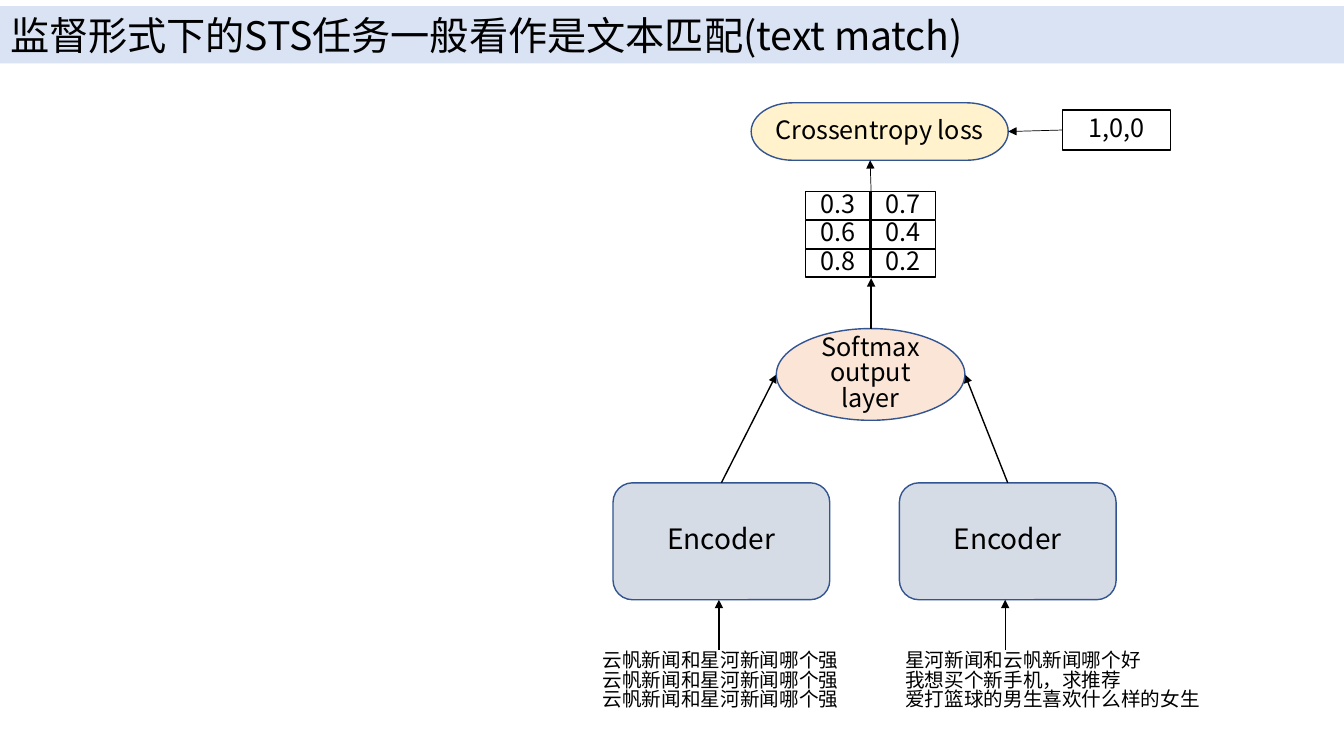
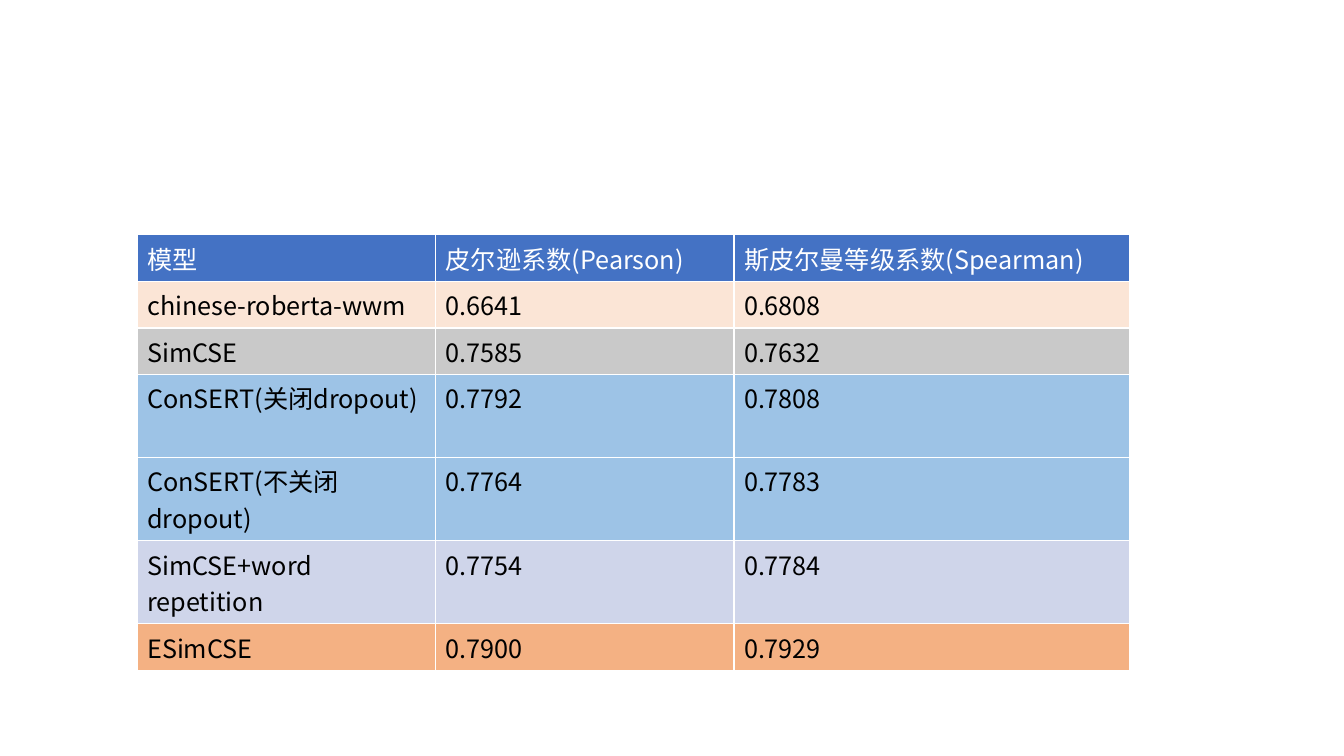
from lxml.etree import SubElement
from pptx import Presentation
from pptx.dml.color import RGBColor
from pptx.enum.shapes import MSO_CONNECTOR, MSO_SHAPE
from pptx.enum.text import MSO_ANCHOR, MSO_AUTO_SIZE, PP_ALIGN
from pptx.oxml.ns import qn
from pptx.util import Inches, Pt

FONT = "Noto Sans CJK SC"
COLORS = {
    "black": "000000", "white": "FFFFFF", "band": "DAE3F3", "outline": "325491",
    "encoder": "D6DCE5", "softmax": "FBE5D6", "loss": "FFF2CC",
    "header": "4472C4", "peach": "FBE5D6", "grey": "C9C9C9",
    "blue": "9DC3E6", "lavender": "CFD5EA", "orange": "F4B183",
}
SLIDE_W, SLIDE_H = 13.33, 7.5
DIAGRAM_SPACING = 0.83

# Diagram grid, in inches
ENCODER_X, ENCODER_Y, ENCODER_W, ENCODER_H = 6.08, 4.79, 2.15, 1.16
ENCODER_PITCH = 2.84
INPUT_ARROW_X, INPUT_Y = 7.13, 6.45
AXIS_X = 8.64
SOFTMAX_X, SOFTMAX_Y, SOFTMAX_W, SOFTMAX_H = 7.7, 3.26, 1.87, 0.91
PROB_X, PROB_Y, PROB_W, PROB_H = 7.99, 1.9, 0.64, 0.28
PROB_PITCH_X, PROB_PITCH_Y = 0.65, 0.285
LOSS_BOX = (7.45, 1.02, 2.55, 0.57)
LABEL_BOX = (10.54, 1.09, 1.07, 0.4)
INPUT_TAB = 3

PROBABILITIES = [("0.3", "0.7"), ("0.6", "0.4"), ("0.8", "0.2")]
SENTENCE_PAIRS = [
    ("云帆新闻和星河新闻哪个强", "星河新闻和云帆新闻哪个好"),
    ("云帆新闻和星河新闻哪个强", "我想买个新手机，求推荐"),
    ("云帆新闻和星河新闻哪个强", "爱打篮球的男生喜欢什么样的女生"),
]
TABLE_COLUMNS = (2.96, 2.96, 3.92)
TABLE_ROW_H = 0.41
TABLE_ROWS = [
    ("header", "模型", "皮尔逊系数(Pearson)", "斯皮尔曼等级系数(Spearman)"),
    ("peach", "chinese-roberta-wwm", "0.6641", "0.6808"),
    ("grey", "SimCSE", "0.7585", "0.7632"),
    ("blue", "ConSERT(关闭dropout)", "0.7792", "0.7808"),
    ("blue", "ConSERT(不关闭dropout)", "0.7764", "0.7783"),
    ("lavender", "SimCSE+word repetition", "0.7754", "0.7784"),
    ("orange", "ESimCSE", "0.7900", "0.7929"),
]


def rgb(name):
    return RGBColor.from_string(COLORS[name])


def inches(*lengths):
    return [Inches(v) for v in lengths]


def paint(fill, color):
    fill.solid()
    fill.fore_color.rgb = rgb(color)


def write(tf, lines, size, color="black", align=PP_ALIGN.LEFT, spacing=1.0):
    tf.word_wrap = True
    for i, line in enumerate(lines):
        p = tf.paragraphs[0] if i == 0 else tf.add_paragraph()
        p.alignment, p.line_spacing = align, spacing
        r = p.add_run()
        r.text = line
        values = {"name": FONT, "size": Pt(size), "bold": False}
        for key, value in values.items():
            setattr(r.font, key, value)
        r.font.color.rgb = rgb(color)
        SubElement(r.font._element, qn("a:ea"), typeface=FONT)


def add_title(s, text):
    title = s.shapes.title
    box = inches(0, 0.06, SLIDE_W, 0.57)
    for key, value in zip(("left", "top", "width", "height"), box):
        setattr(title, key, value)
    paint(title.fill, "band")
    tf = title.text_frame
    tf.auto_size, tf.vertical_anchor = MSO_AUTO_SIZE.NONE, MSO_ANCHOR.MIDDLE
    write(tf, [text], 28)


def add_node(s, kind, box, text, fill="white", line="outline", size=18):
    sp = s.shapes.add_shape(kind, *inches(*box))
    sp.shadow.inherit = False
    paint(sp.fill, fill)
    sp.line.color.rgb = rgb(line)
    sp.line.width = Pt(1)
    sp.text_frame.vertical_anchor = MSO_ANCHOR.MIDDLE
    write(sp.text_frame, [text], size, align=PP_ALIGN.CENTER,
          spacing=DIAGRAM_SPACING)
    return sp


def add_arrow(s, start, end, width=1.0):
    arrow = s.shapes.add_connector(MSO_CONNECTOR.STRAIGHT,
                                   *inches(*start, *end))
    arrow.line.color.rgb = rgb("black")
    arrow.line.width = Pt(width)
    SubElement(arrow.line._get_or_add_ln(), qn("a:tailEnd"), type="triangle")
    SubElement(arrow._element.spPr, qn("a:effectLst"))
    return arrow


def add_sentence_pairs(s):
    tb = s.shapes.add_textbox(*inches(5.88, 6.42, 7.14, 0.81))
    write(tb.text_frame, ["\t".join(pair) for pair in SENTENCE_PAIRS], 14,
          spacing=DIAGRAM_SPACING)
    for p in tb.text_frame.paragraphs:
        tabs = SubElement(p._p.get_or_add_pPr(), qn("a:tabLst"))
        SubElement(tabs, qn("a:tab"), pos=str(Inches(INPUT_TAB)), algn="l")


def add_encoders(s):
    softmax_mid = SOFTMAX_Y + SOFTMAX_H / 2
    for col, side_x in enumerate((SOFTMAX_X, SOFTMAX_X + SOFTMAX_W)):
        shift = col * ENCODER_PITCH
        x = ENCODER_X + shift
        encoder = add_node(s, MSO_SHAPE.ROUNDED_RECTANGLE,
                           (x, ENCODER_Y, ENCODER_W, ENCODER_H),
                           "Encoder", "encoder", size=20)
        to_softmax = add_arrow(s, (x + ENCODER_W / 2, ENCODER_Y),
                               (side_x, softmax_mid))
        to_softmax.begin_connect(encoder, 0)
        arrow_x = INPUT_ARROW_X + shift
        add_arrow(s, (arrow_x, INPUT_Y), (arrow_x, ENCODER_Y + ENCODER_H))


def add_probabilities(s):
    for row, pair in enumerate(PROBABILITIES):
        for col, value in enumerate(pair):
            box = (PROB_X + col * PROB_PITCH_X, PROB_Y + row * PROB_PITCH_Y,
                   PROB_W, PROB_H)
            add_node(s, MSO_SHAPE.RECTANGLE, box, value, line="black")


def add_loss(s):
    loss = add_node(s, MSO_SHAPE.FLOWCHART_TERMINATOR, LOSS_BOX,
                    "Crossentropy loss", "loss")
    label = add_node(s, MSO_SHAPE.RECTANGLE, LABEL_BOX, "1,0,0", line="black")
    x, y, w, h = LOSS_BOX
    to_loss = add_arrow(s, (LABEL_BOX[0], LABEL_BOX[1] + LABEL_BOX[3] / 2),
                        (x + w, y + h / 2), 0.5)
    to_loss.begin_connect(label, 1)
    to_loss.end_connect(loss, 3)
    add_arrow(s, (AXIS_X, PROB_Y), (AXIS_X - 0.01, y + h), 0.5)


def add_text_match_slide(prs):
    s = prs.slides.add_slide(prs.slide_layouts.get_by_name("Title Only"))
    add_title(s, "监督形式下的STS任务一般看作是文本匹配(text match)")
    add_sentence_pairs(s)
    add_encoders(s)
    add_node(s, MSO_SHAPE.OVAL, (SOFTMAX_X, SOFTMAX_Y, SOFTMAX_W, SOFTMAX_H),
             "Softmax output layer", "softmax")
    add_probabilities(s)
    add_arrow(s, (AXIS_X, SOFTMAX_Y), (AXIS_X, 2.76))
    add_loss(s)


def add_results_slide(prs):
    s = prs.slides.add_slide(prs.slide_layouts.get_by_name("Blank"))
    box = inches(1.36, 2.33, sum(TABLE_COLUMNS), TABLE_ROW_H * len(TABLE_ROWS))
    table = s.shapes.add_table(len(TABLE_ROWS), len(TABLE_COLUMNS), *box).table
    table.horz_banding = False
    for column, width in zip(table.columns, TABLE_COLUMNS):
        column.width = Inches(width)
    for row, (fill, *texts) in zip(table.rows, TABLE_ROWS):
        row.height = Inches(TABLE_ROW_H)
        for cell, text in zip(row.cells, texts):
            paint(cell.fill, fill)
            write(cell.text_frame, [text], 18,
                  "white" if fill == "header" else "black")


def main():
    prs = Presentation()
    prs.slide_width, prs.slide_height = inches(SLIDE_W, SLIDE_H)
    add_text_match_slide(prs)
    add_results_slide(prs)
    prs.save("out.pptx")


if __name__ == "__main__":
    main()
